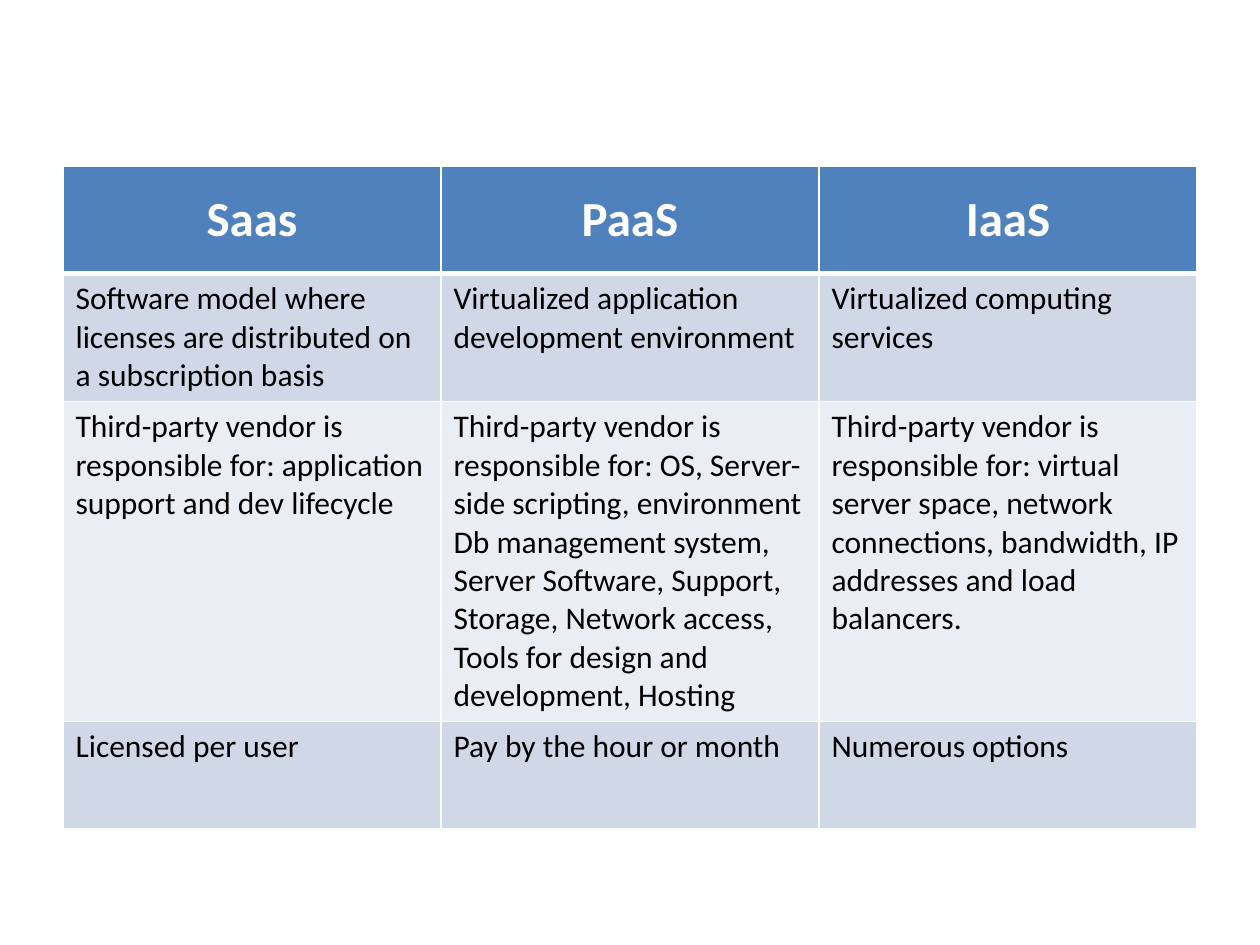
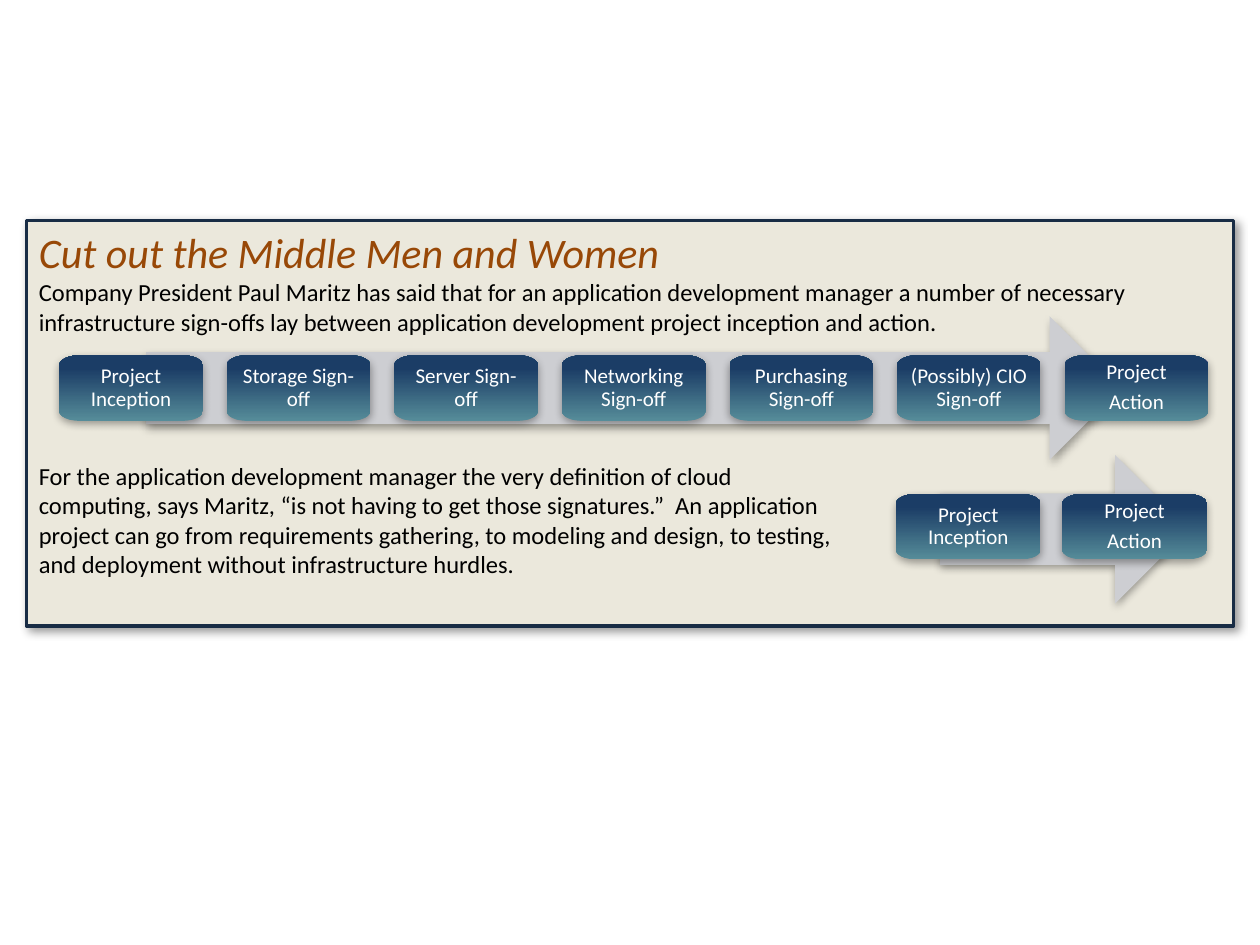
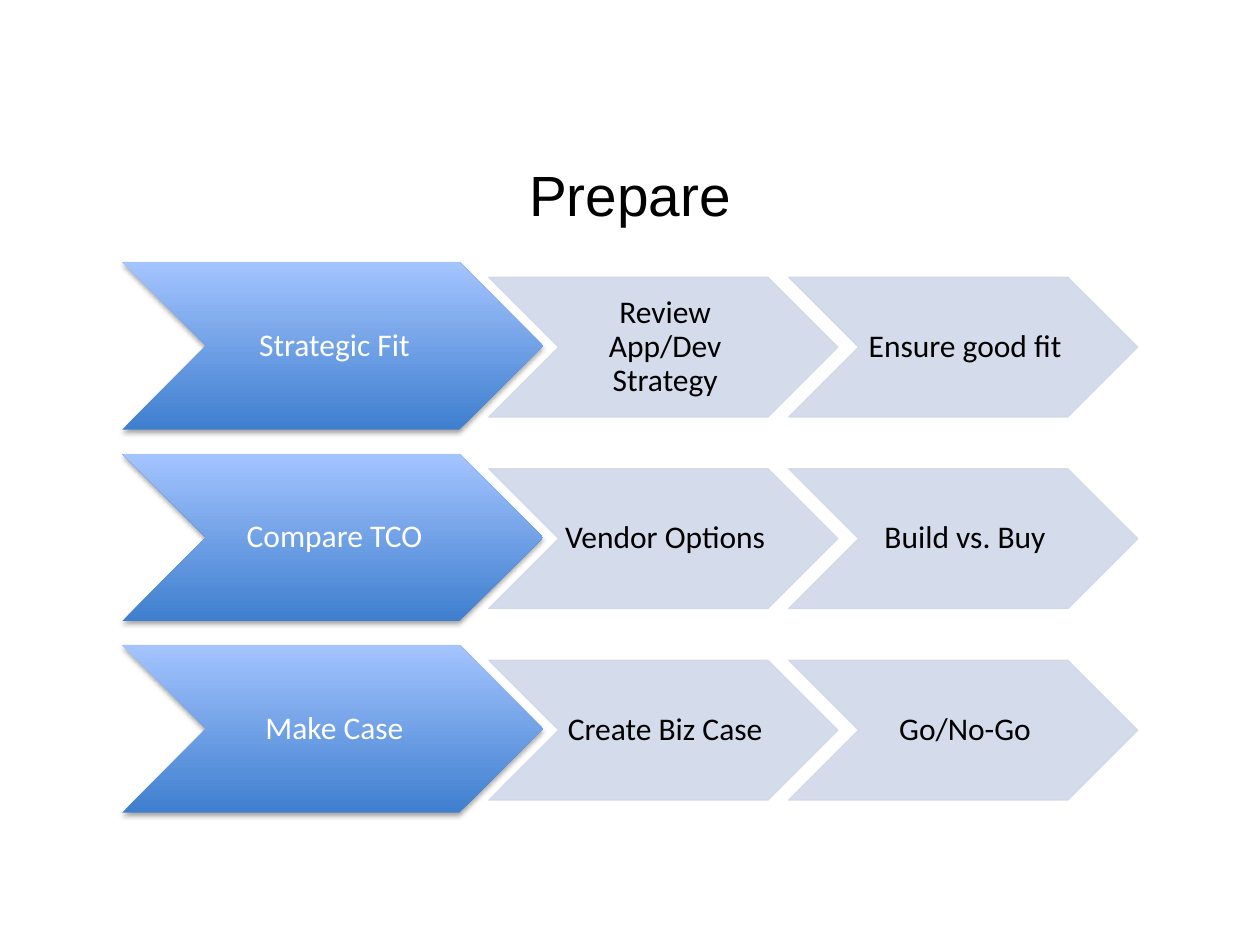
"""Build three slides on cloud services: a table, a sign-off flow and a plan."""
import math

from pptx import Presentation
from pptx import util as u
from pptx.dml.color import RGBColor
from pptx.enum import shapes, text
from pptx.oxml import parse_xml
from pptx.oxml.ns import nsdecls, qn

WHITE, BLACK, GREY = "FFFFFF", "000000", "CDCED2"
HEAD, BAND, PALE = "4F81BD", "D0D8E8", "E9EDF4"
TEAL = [(0, "568C99"), (80, "1B3D66"), (100, "193D68")]
BLUE = [(0, "3F7FCE"), (100, "A4C4FF")]
SOFT = (35, 5, 1.8, 90)
NS = nsdecls("a")
MID, TOP = text.MSO_ANCHOR.MIDDLE, text.MSO_ANCHOR.TOP
LEFT, MIDST = text.PP_ALIGN.LEFT, text.PP_ALIGN.CENTER
KIND = shapes.MSO_SHAPE


def write(frame, words, size=18, color=BLACK, font="Calibri", bold=False,
          slant=False, align=LEFT, anchor=TOP, pads=None, tight=False, more=False):
    frame.word_wrap = True
    frame.vertical_anchor = anchor
    if pads:
        (frame.margin_left, frame.margin_top,
         frame.margin_right, frame.margin_bottom) = map(u.Inches, pads)
    for i, line in enumerate(words.split("\n")):
        para = frame.add_paragraph() if i or more else frame.paragraphs[0]
        para.alignment = align
        if tight:
            para.line_spacing = 0.9
            para.space_after = u.Pt(0.35 * size)
        run = para.add_run()
        run.text = line
        run.font.size, run.font.name = u.Pt(size), font
        run.font.bold, run.font.italic = bold, slant
        run.font.color.rgb = RGBColor.from_string(color)


def paint(shape, fill, line=None, width=0.75, shade=None, alpha=100):
    """Fill with a hex colour or a list of upward gradient stops."""
    props = shape._element.spPr
    if isinstance(fill, str):
        shape.fill.solid()
        shape.fill.fore_color.rgb = RGBColor.from_string(fill)
    else:
        shape.fill.gradient()
        shape.fill.gradient_angle = 90
        stops = props.find(qn("a:gradFill")).find(qn("a:gsLst"))
        for old in list(stops):
            stops.remove(old)
        for pos, color in fill:
            stops.append(parse_xml(
                f'<a:gs {NS} pos="{pos * 1000}"><a:srgbClr val="{color}"/></a:gs>'))
    if line:
        shape.line.color.rgb = RGBColor.from_string(line)
        shape.line.width = u.Pt(width)
    else:
        shape.line.fill.background()
    if alpha < 100:
        for color in props.iter(qn("a:srgbClr")):
            color.append(parse_xml(f'<a:alpha {NS} val="{alpha * 1000}"/>'))
    shape.shadow.inherit = False
    if shade:
        dark, blur, dist, turn = shade
        props.find(qn("a:effectLst")).append(parse_xml(
            f'<a:outerShdw {NS} blurRad="{u.Pt(blur)}" dist="{u.Pt(dist)}" '
            f'dir="{turn * 60000}" rotWithShape="0"><a:srgbClr val="{BLACK}">'
            f'<a:alpha val="{dark * 1000}"/></a:srgbClr></a:outerShdw>'))


deck = Presentation()
deck.slide_width, deck.slide_height = u.Inches(10), u.Inches(7.5)
BLANK, TITLED = deck.slide_layouts[6], deck.slide_layouts[5]

slide = deck.slides.add_slide(BLANK)
rows = [
    ["Saas", "PaaS", "IaaS"],
    ["Software model where licenses are distributed on a subscription basis",
     "Virtualized application development environment",
     "Virtualized computing services"],
    ["Third-party vendor is responsible for: application support and dev lifecycle",
     "Third-party vendor is responsible for: OS, Server-side scripting, environment\n"
     "Db management system, Server Software, Support, Storage, Network access, "
     "Tools for design and development, Hosting",
     "Third-party vendor is responsible for: virtual server space, network "
     "connections, bandwidth, IP addresses and load balancers."],
    ["Licensed per user", "Pay by the hour or month", "Numerous options"],
]
table = slide.shapes.add_table(len(rows), 3, u.Inches(0.5), u.Inches(1.32),
                               u.Inches(9), u.Inches(3.4)).table
for r, row in enumerate(rows):
    table.rows[r].height = u.Inches(0.85)
    for c, words in enumerate(row):
        cell = table.cell(r, c)
        props = cell._tc.get_or_add_tcPr()
        for side in "LRTB":
            wide = 3 if (r, side) in [(0, "B"), (1, "T")] else 1
            props.append(parse_xml(
                f'<a:ln{side} {NS} w="{u.Pt(wide)}"><a:solidFill>'
                f'<a:srgbClr val="{WHITE}"/></a:solidFill></a:ln{side}>'))
        cell.fill.solid()
        cell.fill.fore_color.rgb = RGBColor.from_string([HEAD, BAND, PALE, BAND][r])
        if r == 0:
            write(cell.text_frame, words, size=28, color=WHITE, bold=True, align=MIDST)
            cell.vertical_anchor = MID
        else:
            write(cell.text_frame, words)

slide = deck.slides.add_slide(BLANK)
panel = slide.shapes.add_shape(KIND.RECTANGLE, *map(u.Inches, (0.21, 1.75, 9.58, 3.22)))
paint(panel, "EBE8DC", line="182C45", width=2, shade=(40, 5, 3, 45))

first, last = "Project Inception", "Project\nAction"
long = [first, "Storage Sign-off", "Server Sign-off", "Networking Sign-off",
        "Purchasing Sign-off", "(Possibly) CIO Sign-off", last]
flows = [
    ((1.16, 2.51, 7.74, 1.14), 0.5, long, 0.47, 2.82, 1.14, 1.33, 0.1),
    ((7.46, 3.61, 1.98, 1.18), 0.48, [first, last], 7.11, 3.92, 1.15, 1.32, 0.09),
]
high, rx, ry = 0.52, 0.16, 0.08
for place, thick, steps, left, top, wide, pitch, pad in flows:
    arrow = slide.shapes.add_shape(KIND.RIGHT_ARROW, *map(u.Inches, place))
    arrow.adjustments[0] = thick
    paint(arrow, GREY, shade=SOFT)
    for i, step in enumerate(steps):
        x = left + i * pitch
        hubs = [(x + wide - rx, top + high - ry), (x + rx, top + high - ry),
                (x + rx, top + ry), (x + wide - rx, top + ry)]
        edge = []
        for q, (hx, hy) in enumerate(hubs):
            for k in range(9):
                turn = math.radians(90 * q + 11.25 * k)
                edge.append((u.Inches(hx + rx * math.cos(turn)),
                             u.Inches(hy + ry * math.sin(turn))))
        pen = slide.shapes.build_freeform(*edge[0])
        pen.add_line_segments(edge[1:], close=True)
        box = pen.convert_to_shape()
        paint(box, TEAL, shade=SOFT)
        write(box.text_frame, step, size=12, color=WHITE, align=MIDST, anchor=MID,
              pads=[pad] * 4, tight=True)

intro = slide.shapes.add_textbox(*map(u.Inches, (0.21, 1.75, 9.58, 0.98))).text_frame
write(intro, "Cut out the Middle Men and Women", size=24, color="984807", slant=True)
write(intro, "Company President Paul Maritz has said that for an application development "
      "manager a number of necessary infrastructure sign-offs lay between application "
      "development project inception and action.", size=14, more=True)
quote = slide.shapes.add_textbox(*map(u.Inches, (0.21, 3.61, 6.5, 1.04))).text_frame
write(quote, "For the application development manager the very definition of cloud "
      "computing, says Maritz, “is not having to get those signatures.”  An application "
      "project can go from requirements gathering, to modeling and design, to testing, "
      "and deployment without infrastructure hurdles.", size=14)

slide = deck.slides.add_slide(TITLED)
title = slide.shapes.title
title.left, title.top, title.width, title.height = map(u.Inches, (0.5, 1.19, 9, 0.69))
write(title.text_frame, "Prepare", size=32.4, font="Arial", align=MIDST, anchor=MID)

plan = [
    ["Strategic Fit", "Review App/Dev Strategy", "Ensure good fit"],
    ["Compare TCO", "Vendor Options", "Build vs. Buy"],
    ["Make Case", "Create Biz Case", "Go/No-Go"],
]
for r, row in enumerate(plan):
    top = 2.08 + r * 1.52
    for c, words in enumerate(row):
        place = (3.88 + (c - 1) * 2.38, top + 0.12, 2.77, 1.11) if c else (0.97, top, 3.34, 1.33)
        mark = slide.shapes.add_shape(KIND.CHEVRON, *map(u.Inches, place))
        if c:
            paint(mark, BAND, line=BAND, alpha=90)
        else:
            paint(mark, BLUE, shade=SOFT[:1] + (3.1,) + SOFT[2:])
        write(mark.text_frame, words, color=BLACK if c else WHITE, align=MIDST,
              anchor=MID, pads=(0.03, 0.01, 0, 0.01), tight=True)

deck.save("out.pptx")
